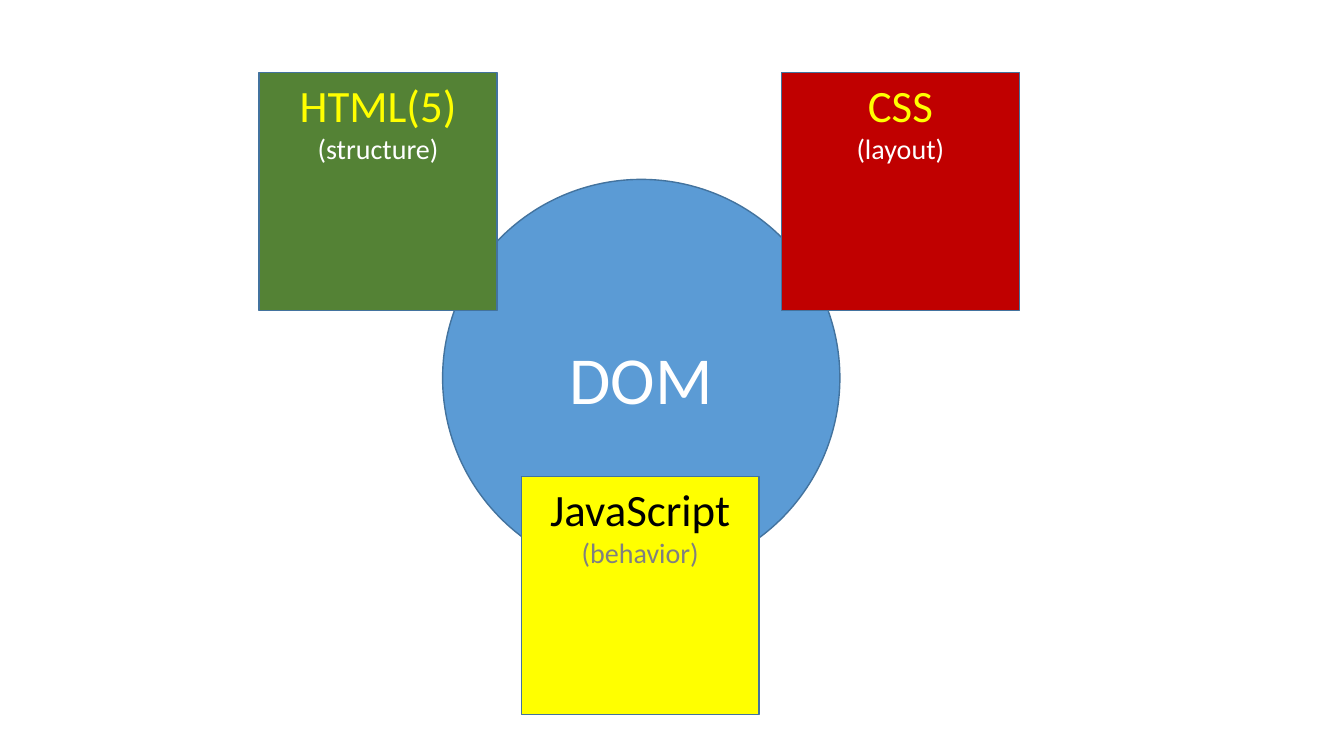
from dataclasses import dataclass

from pptx import Presentation
from pptx.dml.color import RGBColor
from pptx.enum.shapes import MSO_SHAPE
from pptx.enum.text import MSO_ANCHOR, PP_ALIGN
from pptx.slide import Slide
from pptx.util import Inches, Pt

ELLIPSE, SQUARE = MSO_SHAPE.OVAL, MSO_SHAPE.RECTANGLE
TOP, MIDDLE = MSO_ANCHOR.TOP, MSO_ANCHOR.MIDDLE
CENTER = PP_ALIGN.CENTER
FONT = "Calibri"
OUTLINE = "43739E"
WHITE, YELLOW, BLACK, GRAY = "FFFFFF", "FFFF00", "000000", "808080"
CIRCLE_SIZE, SQUARE_SIZE = 3.94, 2.36


@dataclass(frozen=True)
class Line:
    text: str
    size: int
    color: str


@dataclass(frozen=True)
class Block:
    left: float
    top: float
    size: float
    fill: str
    lines: tuple[Line, ...]
    kind: MSO_SHAPE = SQUARE
    anchor: MSO_ANCHOR = TOP


def technology(left: float, top: float, fill: str, name: str, role: str,
               name_color: str = YELLOW, role_color: str = WHITE) -> Block:
    lines = (Line(name, 32, name_color), Line(role, 20, role_color))
    return Block(left, top, SQUARE_SIZE, fill, lines)


# Back to front: the DOM circle, then the technologies around it
BLOCKS = (
    Block(4.39, 1.78, CIRCLE_SIZE, "5B9BD5", (Line("DOM", 48, WHITE),), ELLIPSE, MIDDLE),
    technology(2.57, 0.72, "548235", "HTML(5)", "(structure)"),
    technology(7.75, 0.72, "C00000", "CSS", "(layout)"),
    technology(5.17, 4.73, YELLOW, "JavaScript", "(behavior)", BLACK, GRAY),
)


def rgb(color: str) -> RGBColor:
    return RGBColor.from_string(color)


def draw_block(slide: Slide, block: Block) -> None:
    size = Inches(block.size)
    shape = slide.shapes.add_shape(
        block.kind, Inches(block.left), Inches(block.top), size, size)
    shape.shadow.inherit = False
    shape.fill.solid()
    shape.fill.fore_color.rgb = rgb(block.fill)
    shape.line.color.rgb = rgb(OUTLINE)
    shape.line.width = Pt(1)

    # Centred text, one paragraph per line
    frame = shape.text_frame
    frame.word_wrap = True
    frame.vertical_anchor = block.anchor
    for index, line in enumerate(block.lines):
        paragraph = frame.add_paragraph() if index else frame.paragraphs[0]
        paragraph.alignment = CENTER
        run = paragraph.add_run()
        run.text = line.text
        run.font.name = FONT
        run.font.size = Pt(line.size)
        run.font.color.rgb = rgb(line.color)


def main() -> None:
    presentation = Presentation()
    presentation.slide_width = Inches(13.33)
    presentation.slide_height = Inches(7.5)
    slide = presentation.slides.add_slide(presentation.slide_layouts[6])
    for block in BLOCKS:
        draw_block(slide, block)
    presentation.save("out.pptx")


if __name__ == "__main__":
    main()
